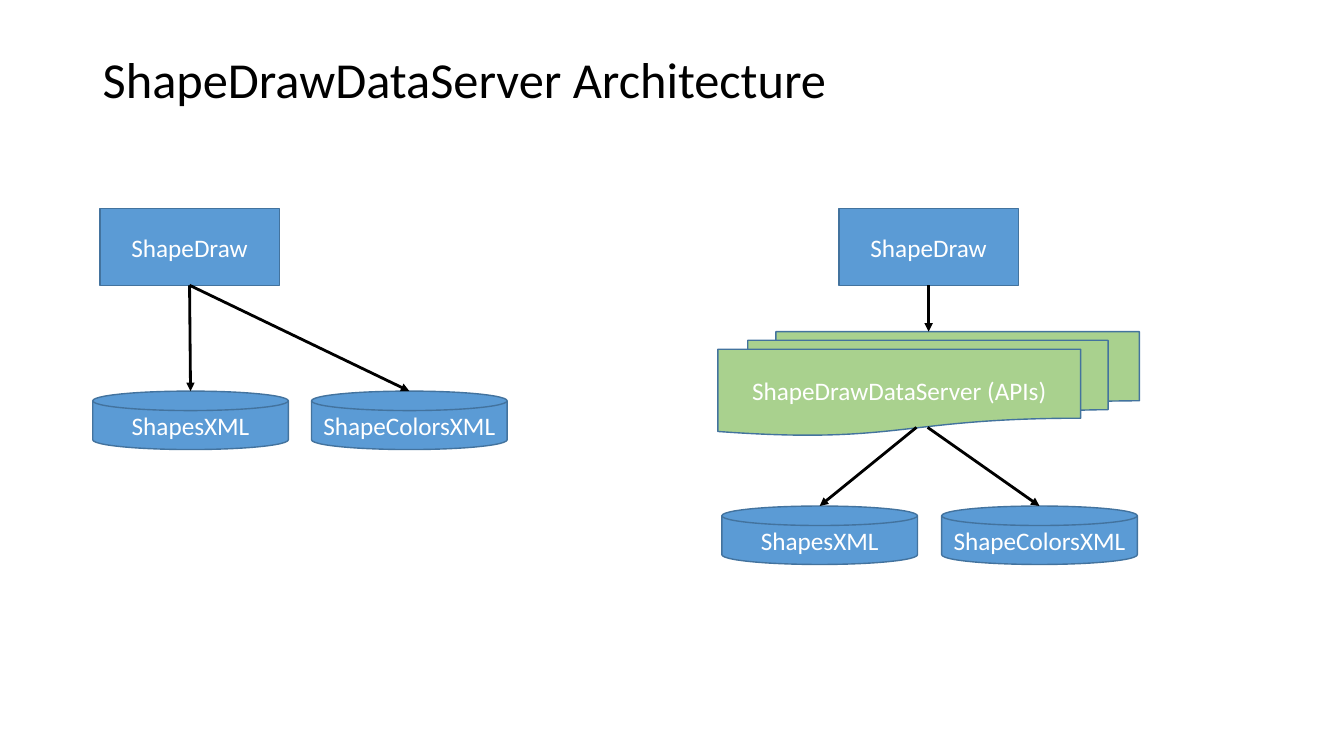
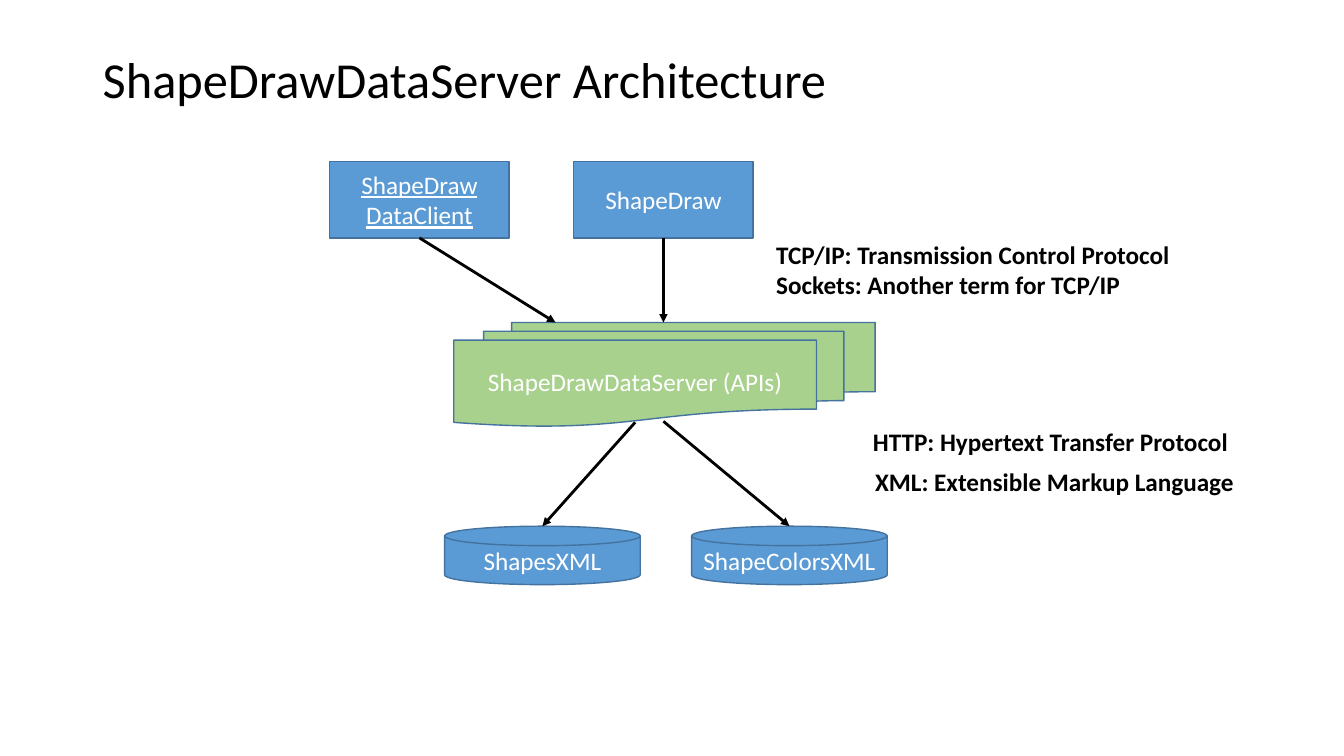
from dataclasses import dataclass
from typing import Any, NamedTuple

import lxml.etree
import pptx
import pptx.dml.color
import pptx.enum.shapes
import pptx.enum.text
import pptx.oxml.ns
import pptx.util

EMU_PER_PX = 9144
SLIDE_WIDTH, SLIDE_HEIGHT = 1333, 750
PRESET = pptx.enum.shapes.MSO_SHAPE
ALIGN = pptx.enum.text.PP_ALIGN
ANCHOR = pptx.enum.text.MSO_ANCHOR
BOTTOM_SITE = 2


@dataclass(frozen=True)
class Theme:
    font: str = "Calibri"
    ink: str = "000000"
    light: str = "FFFFFF"
    blue: str = "5B9BD5"
    green: str = "A9D18E"
    outline: str = "43739E"
    title_size: int = 36
    text_size: int = 18
    outline_width: int = 1
    arrow_width: int = 2


THEME = Theme()


class Point(NamedTuple):
    x: int
    y: int


class Kind(NamedTuple):
    preset: Any
    width: int
    height: int
    fill: str


PROCESS = Kind(PRESET.FLOWCHART_PROCESS, 178, 76, THEME.blue)
STORE = Kind(PRESET.FLOWCHART_MAGNETIC_DISK, 194, 58, THEME.blue)
SERVER = Kind(PRESET.FLOWCHART_MULTIDOCUMENT, 418, 103, THEME.green)


@dataclass(frozen=True)
class Node:
    kind: Kind
    left: int
    top: int
    lines: tuple[str, ...]
    underline: bool = False

    @property
    def top_middle(self) -> Point:
        return Point(self.left + self.kind.width // 2, self.top)

    @property
    def bottom_middle(self) -> Point:
        return Point(self.top_middle.x, self.top + self.kind.height)


@dataclass(frozen=True)
class Arrow:
    start: Node | Point
    end: Point


@dataclass(frozen=True)
class Note:
    left: int
    top: int
    width: int
    height: int
    lines: tuple[str, ...]


@dataclass(frozen=True)
class Diagram:
    nodes: tuple[Node, ...]
    arrows: tuple[Arrow, ...]
    notes: tuple[Note, ...] = ()


def px(*lengths: int) -> list[pptx.util.Emu]:
    return [pptx.util.Emu(length * EMU_PER_PX) for length in lengths]


def rgb(color: str) -> pptx.dml.color.RGBColor:
    return pptx.dml.color.RGBColor.from_string(color)


def set_values(target: Any, values: dict[str, Any]) -> None:
    for name, value in values.items():
        setattr(target, name, value)


def write_lines(box: Any, lines: tuple[str, ...], color: str, size: int,
                paragraph_format: dict[str, Any], frame_format: dict[str, Any],
                **font_format: Any) -> None:
    """Write one paragraph per line, all in the same format."""
    frame = box.text_frame
    set_values(frame, {"word_wrap": True} | frame_format)
    for index, line in enumerate(lines):
        para = frame.add_paragraph() if index else frame.paragraphs[0]
        set_values(para, paragraph_format)
        span = para.add_run()
        span.text = line
        set_values(span.font, {"name": THEME.font, "size": pptx.util.Pt(size)} | font_format)
        span.font.color.rgb = rgb(color)


def draw_title(page: Any, title: str) -> None:
    box = page.shapes.add_textbox(*px(92, 40, 1150, 83))
    write_lines(box, (title,), THEME.ink, THEME.title_size,
                {"line_spacing": 0.9}, {"vertical_anchor": ANCHOR.MIDDLE})


def draw_node(page: Any, node: Node) -> Any:
    kind = node.kind
    shape = page.shapes.add_shape(kind.preset, *px(node.left, node.top, kind.width, kind.height))
    shape.shadow.inherit = False
    shape.fill.solid()
    shape.fill.fore_color.rgb = rgb(kind.fill)
    shape.line.color.rgb = rgb(THEME.outline)
    shape.line.width = pptx.util.Pt(THEME.outline_width)
    write_lines(shape, node.lines, THEME.light, THEME.text_size,
                {"alignment": ALIGN.CENTER}, {"vertical_anchor": ANCHOR.MIDDLE},
                underline=node.underline)
    return shape


def draw_arrow(page: Any, arrow: Arrow, shapes: dict[Node, Any]) -> None:
    """Draw an arrow, joined to its start when that is a node."""
    joined = isinstance(arrow.start, Node)
    start = arrow.start.bottom_middle if joined else arrow.start
    line = page.shapes.add_connector(
        pptx.enum.shapes.MSO_CONNECTOR.STRAIGHT, *px(*start, *arrow.end))
    if joined:
        line.begin_connect(shapes[arrow.start], BOTTOM_SITE)
    line.line.color.rgb = rgb(THEME.ink)
    line.line.width = pptx.util.Pt(THEME.arrow_width)
    qn = pptx.oxml.ns.qn
    properties = line._element.spPr
    lxml.etree.SubElement(properties.find(qn("a:ln")), qn("a:tailEnd"), type="triangle")
    lxml.etree.SubElement(properties, qn("a:effectLst"))


def draw_note(page: Any, note: Note) -> None:
    box = page.shapes.add_textbox(*px(note.left, note.top, note.width, note.height))
    write_lines(box, note.lines, THEME.ink, THEME.text_size, {}, {}, bold=True)


def draw_diagram(page: Any, diagram: Diagram) -> None:
    shapes = {node: draw_node(page, node) for node in diagram.nodes}
    for arrow in diagram.arrows:
        draw_arrow(page, arrow, shapes)
    for note in diagram.notes:
        draw_note(page, note)


def client(left: int, top: int) -> Node:
    return Node(PROCESS, left, top, ("ShapeDraw",))


def server(left: int, top: int) -> Node:
    return Node(SERVER, left, top, ("ShapeDrawDataServer (APIs)",))


def stores(left: int, top: int, pitch: int) -> tuple[Node, Node]:
    return (Node(STORE, left, top, ("ShapesXML",)),
            Node(STORE, left + pitch, top, ("ShapeColorsXML",)))


def direct_access() -> Diagram:
    draw = client(99, 207)
    files = stores(92, 388, 217)
    return Diagram((draw, *files), tuple(Arrow(draw, store.top_middle) for store in files))


def served_access(draw: Node, api: Node, files: tuple[Node, Node],
                  exits: tuple[Point, Point]) -> Diagram:
    """Client above the server, with one arrow from each exit to its store."""
    entry = Point(draw.bottom_middle.x, api.top)
    return Diagram(
        (api, draw, *files),
        (Arrow(draw, entry),
         *(Arrow(leave, store.top_middle) for leave, store in zip(exits, files))))


def data_client_access() -> Diagram:
    api = server(450, 320)
    data_client = Node(PROCESS, 327, 160, ("ShapeDraw", "DataClient"), underline=True)
    served = served_access(client(569, 160), api, stores(441, 522, 245),
                           (Point(630, 419), Point(658, 418)))
    return Diagram(
        (*served.nodes, data_client),
        (*served.arrows, Arrow(data_client, Point(551, api.top))),
        (Note(856, 418, 381, 40, ("HTTP: Hypertext Transfer Protocol",)),
         Note(858, 458, 379, 40, ("XML: Extensible Markup Language",)),
         Note(760, 232, 573, 71, ("TCP/IP: Transmission Control Protocol",
                                  "Sockets: Another term for TCP/IP"))))


def main() -> None:
    deck = pptx.Presentation()
    deck.slide_width, deck.slide_height = px(SLIDE_WIDTH, SLIDE_HEIGHT)
    comparison = (
        direct_access(),
        served_access(client(832, 207), server(712, 329), stores(716, 502, 218),
                      (Point(909, 424), Point(920, 424))))
    for diagrams in (comparison, (data_client_access(),)):
        page = deck.slides.add_slide(deck.slide_layouts[6])
        draw_title(page, "ShapeDrawDataServer Architecture")
        for diagram in diagrams:
            draw_diagram(page, diagram)
    deck.save("out.pptx")


if __name__ == "__main__":
    main()
